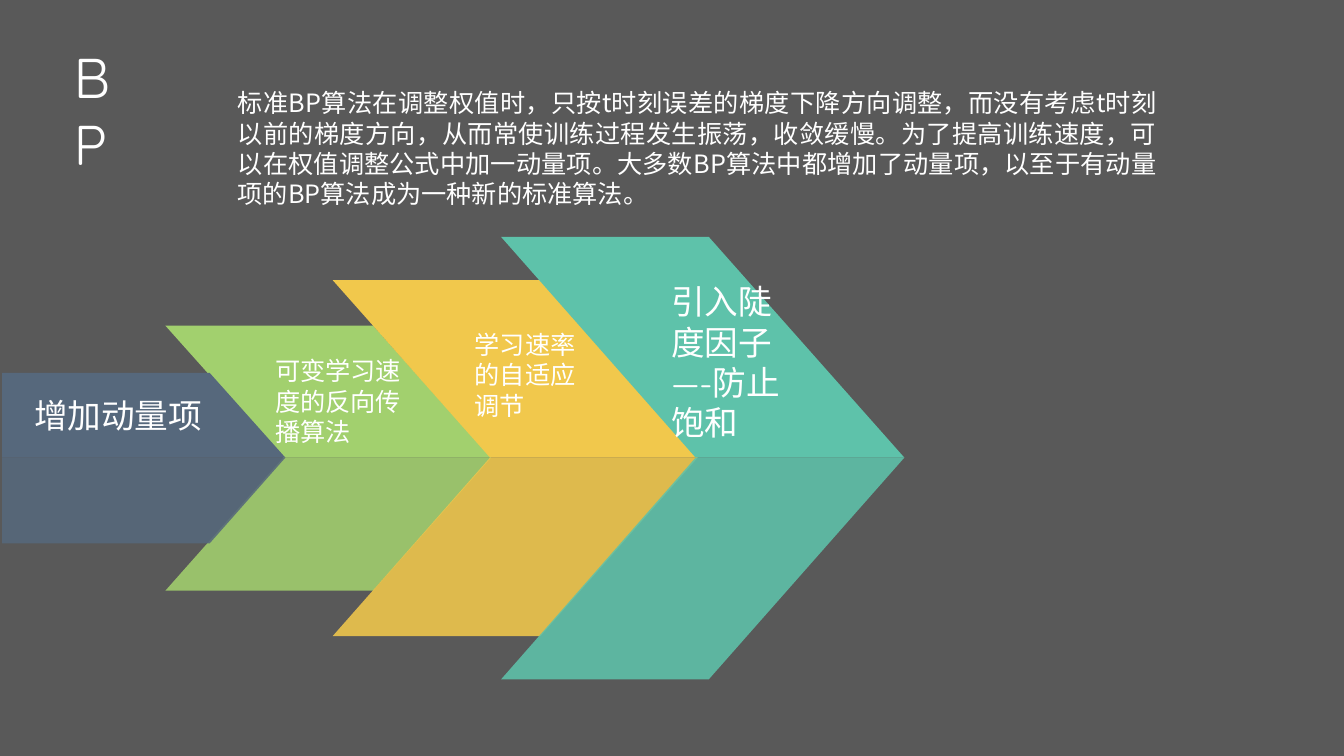
from dataclasses import dataclass

import pptx
import pptx.dml.color
import pptx.enum.text
import pptx.oxml
import pptx.oxml.ns
import pptx.util

PX = 9144  # EMU per px, 100 px to the inch
AXIS = 454  # height of the line on which all arrows meet
SHOULDER = 206  # length of the flat outer edge of an arrow
DISPLAY_FONT = "Quicksand"
TEXT_FONT = "Noto Sans CJK SC"
WHITE = "FFFFFF"
PP_ALIGN = pptx.enum.text.PP_ALIGN


@dataclass
class Label:
    text: str
    left: int
    top: int
    width: int
    height: int
    size: int = 18
    font: str = DISPLAY_FONT
    wrap: bool = True
    align: PP_ALIGN = PP_ALIGN.LEFT


@dataclass
class Arrow:
    left: int
    top: int
    tip: int
    notch: int
    color: str
    label: Label


TITLE = Label("BP", 63, 37, 60, 144, 40)
EXPLANATION = Label(
    "标准BP算法在调整权值时，只按t时刻误差的梯度下降方向调整，而没有考虑t时刻以前的梯度方向，"
    "从而常使训练过程发生振荡，收敛缓慢。为了提高训练速度，可以在权值调整公式中加一动量项。"
    "大多数BP算法中都增加了动量项，以至于有动量项的BP算法成为一种新的标准算法。",
    226, 82, 931, 131, font=TEXT_FONT, align=PP_ALIGN.JUSTIFY)
MOMENTUM = Arrow(2, 370, 283, 2, "56687C",
                 Label("增加动量项", 24, 387, 188, 50, 24, wrap=False))
IMPROVEMENTS = [
    Arrow(164, 323, 487, 281, "A2D06E",
          Label("可变学习速度的反向传播算法", 263, 348, 167, 131)),
    Arrow(330, 278, 692, 486, "F1C84C",
          Label("学习速率的自适应调节", 461, 322, 124, 101)),
    Arrow(497, 235, 897, 690, "5EC2AA",
          Label("引入陡度因子—-防止饱和", 656, 274, 144, 172, 24)),
]


def rgb(color: str) -> pptx.dml.color.RGBColor:
    return pptx.dml.color.RGBColor.from_string(color)


def fill_text(shape, label: Label) -> None:
    """Put the label's wording and formatting into a shape."""
    frame = shape.text_frame
    frame.text = label.text
    frame.word_wrap = label.wrap
    frame.vertical_anchor = pptx.enum.text.MSO_ANCHOR.TOP
    paragraph = frame.paragraphs[0]
    paragraph.alignment = label.align
    for run in paragraph.runs:
        run.font.size = pptx.util.Pt(label.size)
        run.font.name = label.font
        run.font.color.rgb = rgb(WHITE)
        east_asian = pptx.oxml.parse_xml(
            f'<a:ea {pptx.oxml.ns.nsdecls("a")} typeface="{label.font}"/>')
        run.font._element.find(pptx.oxml.ns.qn("a:latin")).addnext(east_asian)


def add_label(shapes, label: Label) -> None:
    box = shapes.add_textbox(label.left * PX, label.top * PX,
                             label.width * PX, label.height * PX)
    fill_text(box, label)
    box.text_frame.auto_size = pptx.enum.text.MSO_AUTO_SIZE.SHAPE_TO_FIT_TEXT


def add_half(shapes, arrow: Arrow, edge: int, opacity: int = 100) -> None:
    """Draw the half of an arrow between its outer edge and the axis."""
    builder = shapes.build_freeform(arrow.left, edge, scale=PX)
    builder.add_line_segments([(arrow.left + SHOULDER, edge),
                               (arrow.tip, AXIS), (arrow.notch, AXIS)])
    half = builder.convert_to_shape()
    half.shadow.inherit = False
    half.line.fill.background()
    half.fill.solid()
    half.fill.fore_color.rgb = rgb(arrow.color)
    if opacity < 100:
        color = half._element.spPr.find(".//" + pptx.oxml.ns.qn("a:srgbClr"))
        color.append(pptx.oxml.parse_xml(
            f'<a:alpha {pptx.oxml.ns.nsdecls("a")} val="{opacity * 1000}"/>'))


def add_upper(slide, arrow: Arrow) -> None:
    group = slide.shapes.add_group_shape()
    add_half(group.shapes, arrow, arrow.top)
    add_label(group.shapes, arrow.label)


def add_lower(slide, arrow: Arrow) -> None:
    add_half(slide.shapes, arrow, 2 * AXIS + 1 - arrow.top, 88)


def main() -> None:
    deck = pptx.Presentation()
    deck.slide_width, deck.slide_height = 1333 * PX, 750 * PX
    slide = deck.slides.add_slide(deck.slide_layouts.get_by_name("Title Only"))
    slide.background.fill.solid()
    slide.background.fill.fore_color.rgb = rgb("595959")

    # Title, one letter per line
    title = slide.shapes.title
    title.left, title.top = TITLE.left * PX, TITLE.top * PX
    title.width, title.height = TITLE.width * PX, TITLE.height * PX
    fill_text(title, TITLE)
    title.text_frame.auto_size = pptx.enum.text.MSO_AUTO_SIZE.NONE

    # Arrows: upper halves with labels, then translucent lower halves
    for arrow in IMPROVEMENTS:
        add_upper(slide, arrow)
    for arrow in IMPROVEMENTS:
        add_lower(slide, arrow)
    add_upper(slide, MOMENTUM)
    add_lower(slide, MOMENTUM)

    # Explanation
    add_label(slide.shapes, EXPLANATION)
    deck.save("out.pptx")


if __name__ == "__main__":
    main()
